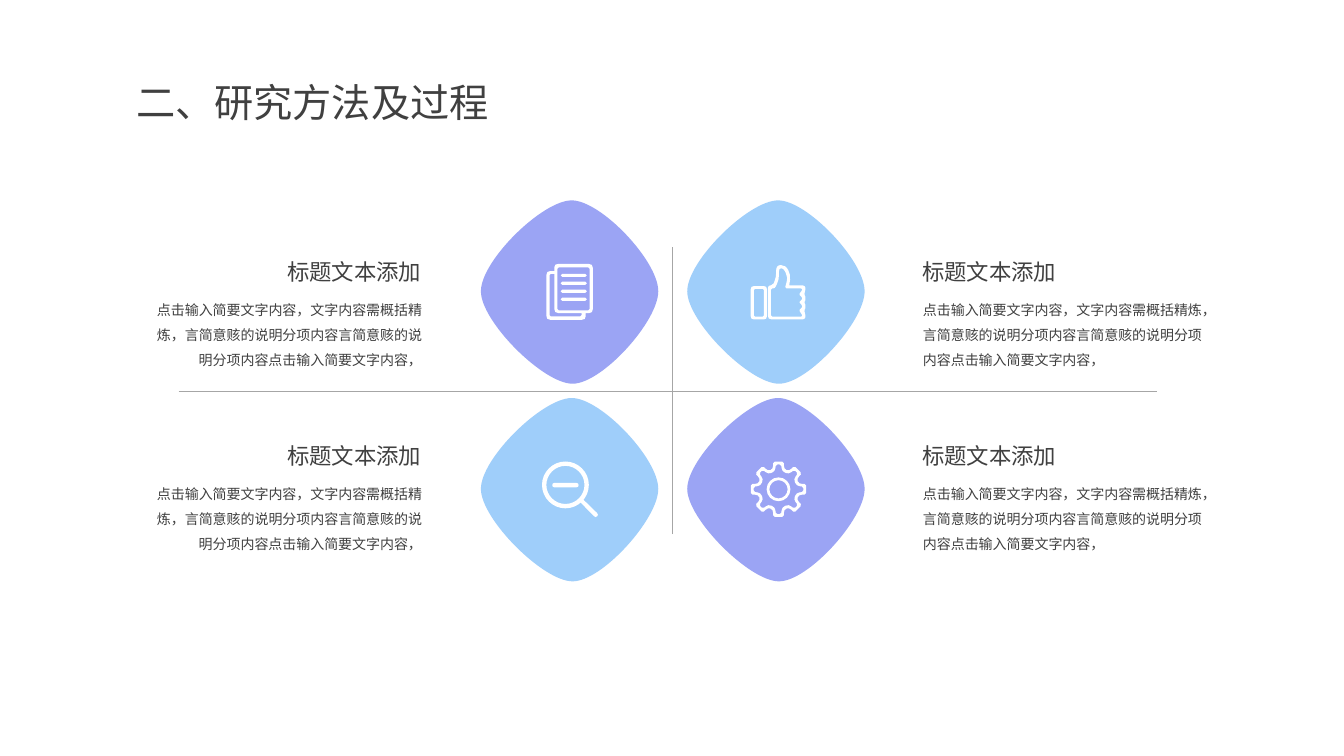
from dataclasses import dataclass
from math import cos, hypot, radians, sin

from lxml.etree import SubElement
from pptx import Presentation
from pptx.dml.color import RGBColor
from pptx.enum.shapes import MSO_CONNECTOR
from pptx.enum.text import MSO_ANCHOR, MSO_AUTO_SIZE, PP_ALIGN
from pptx.oxml.ns import qn
from pptx.util import Cm, Pt

FONT = "Noto Sans CJK SC"
INK, RULE, WHITE = "404040", "A6A6A6", "FFFFFF"
VIOLET, SKY = "9BA4F4", "9FCEFA"
HEADING = "标题文本添加"
DETAIL = "点击输入简要文字内容，文字内容需概括精炼，言简意赅的说明分项内容言简意赅的说明分项内容点击输入简要文字内容，"
CURVES = {2: "a:quadBezTo", 3: "a:cubicBezTo"}

Point = tuple[float, float]
Corner = tuple[float, float, float]
Contour = list[tuple[Point, ...]]


@dataclass(frozen=True)
class Column:
    diamond_left: float
    heading_left: float
    detail_left: float
    detail_width: float
    align: PP_ALIGN


@dataclass(frozen=True)
class Method:
    column: Column
    row: int
    color: str
    icon: list[Contour]
    icon_offset: Point


def rgb(value: str) -> RGBColor:
    return RGBColor.from_string(value)


def bezier(points: list[Point]) -> Contour:
    curves = [tuple(points[start:start + 3]) for start in range(1, len(points), 3)]
    return [(points[0],), *curves]


def rounded(corners: list[Corner]) -> Contour:
    contour = []
    for index, (x, y, radius) in enumerate(corners):
        if radius == 0:
            contour.append(((x, y),))
            continue
        ends = []
        for nx, ny, _ in (corners[index - 1], corners[(index + 1) % len(corners)]):
            share = min(radius / hypot(nx - x, ny - y), 0.5)
            ends.append((x + (nx - x) * share, y + (ny - y) * share))
        contour += [(ends[0],), ((x, y), ends[1])]
    return contour


def box(left: float, top: float, right: float, bottom: float, radius: float) -> Contour:
    return rounded([(left, top, radius), (right, top, radius),
                    (right, bottom, radius), (left, bottom, radius)])


def polar(center: Point, radius: float, angle: float) -> Point:
    return (center[0] + radius * cos(radians(angle)), center[1] + radius * sin(radians(angle)))


def circle(center: Point, radius: float) -> Contour:
    x, y = center
    k = 0.55 * radius
    r = radius
    return bezier([(x + r, y), (x + r, y + k), (x + k, y + r), (x, y + r),
                   (x - k, y + r), (x - r, y + k), (x - r, y),
                   (x - r, y - k), (x - k, y - r), (x, y - r),
                   (x + k, y - r), (x + r, y - k), (x + r, y)])


def cog(center: Point, tip: float, root: float, tip_angle: float, root_angle: float) -> Contour:
    corners = []
    for tooth in range(0, 360, 45):
        for radius, angle, rounding in ((tip, -tip_angle, 0.04), (tip, tip_angle, 0.04),
                                        (root, root_angle, 0.08), (root, 45 - root_angle, 0.08)):
            corners.append((*polar(center, radius, tooth + angle), rounding))
    return rounded(corners)


def knuckles(outer: float, inner: float) -> list[Corner]:
    corners = []
    for notch in (0.74, 0.94, 1.14):
        corners += [(inner, notch, 0.02), (outer, notch + 0.1, 0.06)]
    return corners[:-1]


def draw(shapes, contours: list[Contour], left: float, top: float, color: str) -> None:
    placed = [[tuple(((left + x) * 1000, (top + y) * 1000) for x, y in segment)
               for segment in contour] for contour in contours]
    builder = shapes.build_freeform(*placed[0][0][0], scale=Cm(0.001))
    for index, contour in enumerate(placed):
        if index:
            builder.move_to(*contour[0][0])
        builder.add_line_segments([point for segment in contour[1:] for point in segment])
    outline = builder.convert_to_shape()
    nodes = iter(list(outline._element.iter(qn("a:lnTo"))))
    for segment in (segment for contour in contours for segment in contour[1:]):
        first = next(nodes)
        for _ in segment[1:]:
            node = next(nodes)
            first.append(node[0])
            node.getparent().remove(node)
        if len(segment) > 1:
            first.tag = qn(CURVES[len(segment)])
    outline.shadow.inherit = False
    outline.fill.solid()
    outline.fill.fore_color.rgb = rgb(color)
    outline.line.fill.background()


def write(frame, text: str, *, size: float, align: PP_ALIGN = PP_ALIGN.LEFT,
          spacing: float = 1.0) -> None:
    frame.word_wrap = True
    frame.auto_size = MSO_AUTO_SIZE.SHAPE_TO_FIT_TEXT
    frame.vertical_anchor = MSO_ANCHOR.TOP
    paragraph = frame.paragraphs[0]
    paragraph.alignment = align
    paragraph.line_spacing = spacing
    run = paragraph.add_run()
    run.text = text
    run.font.size = Pt(size)
    run.font.name = FONT
    run.font.color.rgb = rgb(INK)
    SubElement(run.font._element, qn("a:ea"), typeface=FONT)


def rule(shapes, start: Point, end: Point) -> None:
    line = shapes.add_connector(MSO_CONNECTOR.STRAIGHT, *map(Cm, start), *map(Cm, end))
    line.line.color.rgb = rgb(RULE)
    line.line.width = Pt(0.5)
    SubElement(line._element.spPr, qn("a:effectLst"))


DIAMOND = bezier([(0, 2.29), (0, 1.52), (1.55, 0), (2.29, 0), (3.02, 0), (4.47, 1.52),
                  (4.47, 2.29), (4.47, 3.05), (3.05, 4.62), (2.31, 4.62), (1.57, 4.62),
                  (0, 3.05), (0, 2.29)])
PAGES = [
    rounded([(0, 0.18, 0.1), (0.2, 0.18, 0), (0.2, 0, 0.1), (1.17, 0, 0.1),
             (1.17, 1.24, 0.1), (0.99, 1.24, 0), (0.99, 1.41, 0.1), (0, 1.41, 0.1)]),
    rounded([(0.08, 0.25, 0.03), (0.2, 0.25, 0), (0.2, 1.24, 0.1), (0.89, 1.24, 0),
             (0.89, 1.32, 0.03), (0.08, 1.32, 0.03)]),
    box(0.28, 0.09, 1.09, 1.17, 0.03),
    *(box(0.36, 0.25 + 0.2 * n, 1.02, 0.33 + 0.2 * n, 0.04) for n in range(4)),
]
THUMB = [
    box(0, 0.53, 0.41, 1.37, 0.08),
    box(0.08, 0.6, 0.33, 1.3, 0.03),
    rounded([(0.43, 0.51, 0.1), (0.56, 0.51, 0.05), (0.64, 0.3, 0.1), (0.64, 0, 0.14),
             (0.88, 0, 0.15), (1.01, 0.25, 0.15), (0.97, 0.51, 0), (1.4, 0.51, 0.12),
             *knuckles(1.4, 1.35), (1.4, 1.37, 0.12), (0.43, 1.37, 0.1)]),
    rounded([(0.51, 0.59, 0.03), (0.61, 0.59, 0.06), (0.71, 0.36, 0.1), (0.71, 0.08, 0.09),
             (0.82, 0.08, 0.08), (0.94, 0.3, 0.15), (0.86, 0.59, 0.04), (1.32, 0.59, 0.06),
             *knuckles(1.32, 1.22), (1.32, 1.3, 0.06), (0.51, 1.3, 0.03)]),
]
LENS, HUB = (0.58, 0.59), (0.7, 0.7)
MAGNIFIER = [
    circle(LENS, 0.59), circle(LENS, 0.48), box(0.25, 0.54, 0.91, 0.65, 0.05),
    rounded([(1.03, 0.96, 0), (1.42, 1.34, 0.06), (1.34, 1.42, 0.06), (0.96, 1.03, 0)]),
]
GEAR = [cog(HUB, 0.71, 0.53, 11, 15), cog(HUB, 0.63, 0.46, 6, 11),
        circle(HUB, 0.3), circle(HUB, 0.23)]

LEFT = Column(12.12, 3.86, 3.56, 7.32, PP_ALIGN.RIGHT)
RIGHT = Column(17.32, 22.99, 23.01, 7.54, PP_ALIGN.LEFT)
METHODS = [
    Method(LEFT, 0, VIOLET, PAGES, (1.65, 1.6)),
    Method(LEFT, 1, SKY, MAGNIFIER, (1.55, 1.6)),
    Method(RIGHT, 0, SKY, THUMB, (1.6, 1.63)),
    Method(RIGHT, 1, VIOLET, GEAR, (1.6, 1.6)),
]


def draw_method(shapes, method: Method) -> None:
    column = method.column
    text_top = 6.38 + 4.63 * method.row
    heading = shapes.add_textbox(Cm(column.heading_left), Cm(text_top), Cm(7.01), Cm(0.94))
    write(heading.text_frame, HEADING, size=16, align=column.align)
    detail = shapes.add_textbox(Cm(column.detail_left), Cm(text_top + 0.88),
                                Cm(column.detail_width), Cm(2.11))
    write(detail.text_frame, DETAIL, size=10, align=column.align, spacing=1.5)
    left, top = column.diamond_left, 5.05 + 4.98 * method.row
    draw(shapes, [DIAMOND], left, top, method.color)
    draw(shapes, method.icon, left + method.icon_offset[0], top + method.icon_offset[1], WHITE)


def main() -> None:
    deck = Presentation()
    deck.slide_width, deck.slide_height = Cm(33.87), Cm(19.05)
    slide = deck.slides.add_slide(deck.slide_layouts[5])
    title = slide.shapes.title
    title.left, title.top, title.width, title.height = Cm(3.18), Cm(1.85), Cm(11.86), Cm(1.45)
    write(title.text_frame, "二、研究方法及过程", size=28)
    for method in METHODS:
        draw_method(slide.shapes, method)
    rule(slide.shapes, (16.94, 13.46), (16.94, 6.22))
    rule(slide.shapes, (4.5, 9.86), (29.16, 9.86))
    deck.save("out.pptx")


if __name__ == "__main__":
    main()
